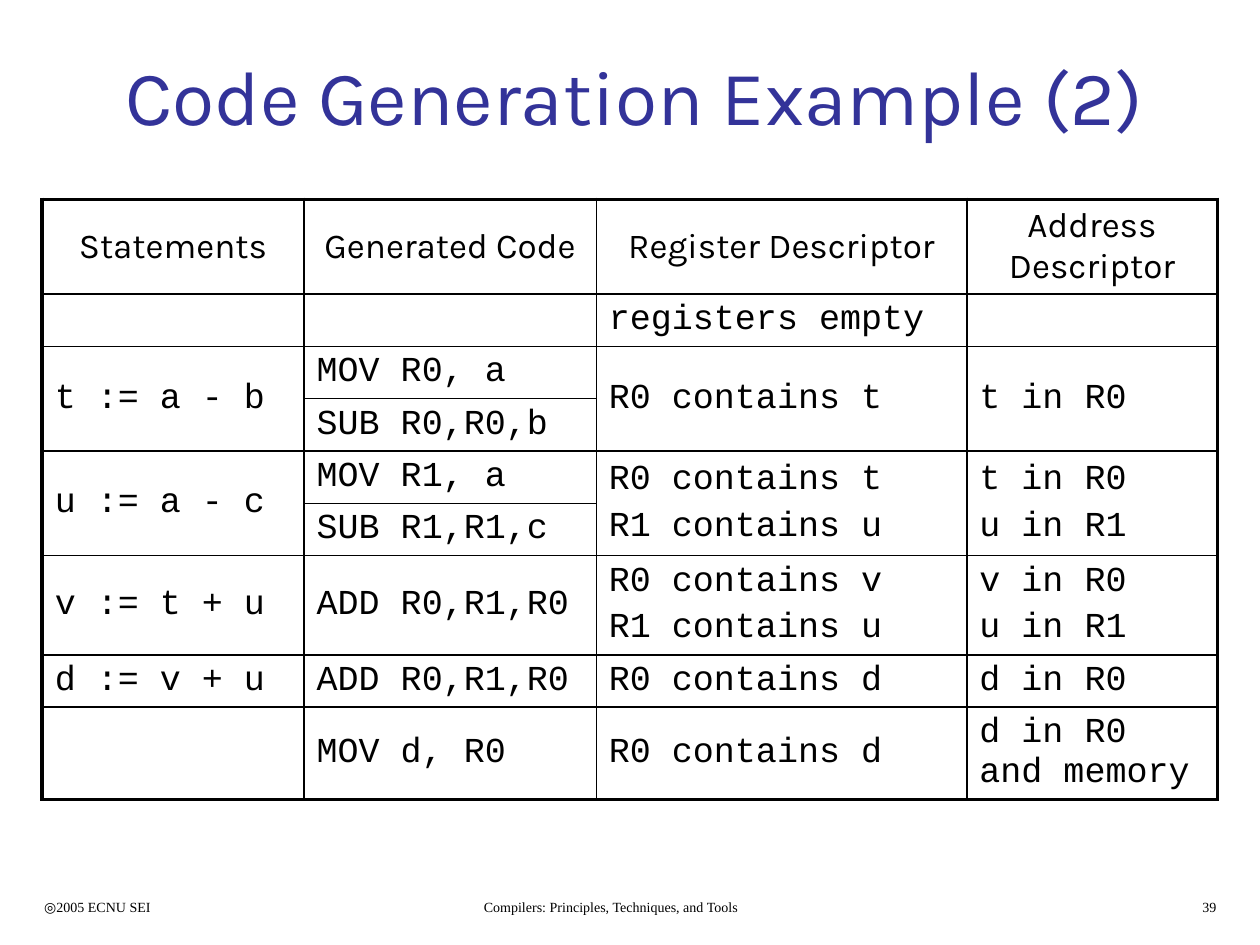
from lxml.etree import SubElement
from pptx import Presentation
from pptx.dml.color import RGBColor
from pptx.enum.text import MSO_ANCHOR, MSO_AUTO_SIZE, PP_ALIGN
from pptx.oxml.ns import qn
from pptx.util import Cm, Pt

BLACK = RGBColor(0x00, 0x00, 0x00)
BLUE = RGBColor(0x33, 0x33, 0x99)

TITLE = dict(name="Karla", size=Pt(44), bold=False)
HEADER = dict(name="Karla", size=Pt(20), bold=False)
CODE = dict(name="Courier New", size=Pt(20), bold=False)
FOOTER = dict(name="Times New Roman", size=Pt(8), bold=False)


def write(tf, text, font, align=PP_ALIGN.LEFT, color=BLACK):
    tf.text = text
    for i, p in enumerate(tf.paragraphs):
        p.alignment = align
        if i:
            p.space_before = Pt(4)
        for key, value in font.items():
            setattr(p.font, key, value)
        p.font.color.rgb = color


def add_border(cell, side, width):
    ln = SubElement(cell._tc.get_or_add_tcPr(), qn(f"a:ln{side}"), w=str(Pt(width)))
    fill = SubElement(ln, qn("a:solidFill"))
    SubElement(fill, qn("a:srgbClr"), val=str(BLACK))


prs = Presentation()
prs.slide_width, prs.slide_height = Cm(25.4), Cm(19.05)
s = prs.slides.add_slide(prs.slide_layouts[5])

# Title
title = s.shapes.title
title.left, title.top, title.width, title.height = Cm(1.27), Cm(0.43), Cm(23.06), Cm(2.97)
tf = title.text_frame
tf.auto_size = MSO_AUTO_SIZE.NONE
tf.vertical_anchor = MSO_ANCHOR.MIDDLE
write(tf, "Code Generation Example (2)", TITLE, PP_ALIGN.CENTER, BLUE)

# Table: one text per cell, cells below a merged one stay empty
rows = [
    ("Statements", "Generated Code", "Register Descriptor", "Address Descriptor"),
    ("", "", "registers empty", ""),
    ("t := a - b", "MOV R0, a", "R0 contains t", "t in R0"),
    ("", "SUB R0,R0,b", "", ""),
    ("u := a - c", "MOV R1, a", "R0 contains t\nR1 contains u", "t in R0\nu in R1"),
    ("", "SUB R1,R1,c", "", ""),
    ("v := t + u", "ADD R0,R1,R0", "R0 contains v\nR1 contains u", "v in R0\nu in R1"),
    ("d := v + u", "ADD R0,R1,R0", "R0 contains d", "d in R0"),
    ("", "MOV d, R0", "R0 contains d", "d in R0 and memory"),
]
col_widths = [5.28, 5.89, 7.47, 5.05]
row_heights = [1.9] + [1.05] * 5 + [2.0, 1.05, 1.86]
last_row, last_col = len(rows) - 1, len(col_widths) - 1

table = s.shapes.add_table(len(rows), len(col_widths), Cm(0.85), Cm(4.02),
                           Cm(sum(col_widths)), Cm(sum(row_heights))).table
table.first_row = table.horz_banding = False
for col, width in zip(table.columns, col_widths):
    col.width = Cm(width)
for row, height in zip(table.rows, row_heights):
    row.height = Cm(height)

# Two-instruction statements span two rows
for r in (2, 4):
    for c in (0, 2, 3):
        table.cell(r, c).merge(table.cell(r + 1, c))

# Cell text, with a thick frame outside and thin lines inside
for r, texts in enumerate(rows):
    for c, text in enumerate(texts):
        cell = table.cell(r, c)
        cell.vertical_anchor = MSO_ANCHOR.MIDDLE
        if r == 0:
            write(cell.text_frame, text, HEADER, PP_ALIGN.CENTER)
        else:
            write(cell.text_frame, text, CODE)
        on_frame = {"L": c == 0, "R": c == last_col, "T": r == 0, "B": r == last_row}
        for side, outer in on_frame.items():
            add_border(cell, side, 2.25 if outer else 1)
        cell.fill.background()

# Footer line
footers = [
    ("◎2005 ECNU SEI", 0.64, 4.8, PP_ALIGN.LEFT),
    ("Compilers: Principles, Techniques, and Tools", 7.29, 10.06, PP_ALIGN.CENTER),
    ("39", 19.94, 4.83, PP_ALIGN.RIGHT),
]
for text, left, width, align in footers:
    tf = s.shapes.add_textbox(Cm(left), Cm(17.98), Cm(width), Cm(0.6)).text_frame
    tf.word_wrap = True
    write(tf, text, FOOTER, align)

prs.save("out.pptx")
